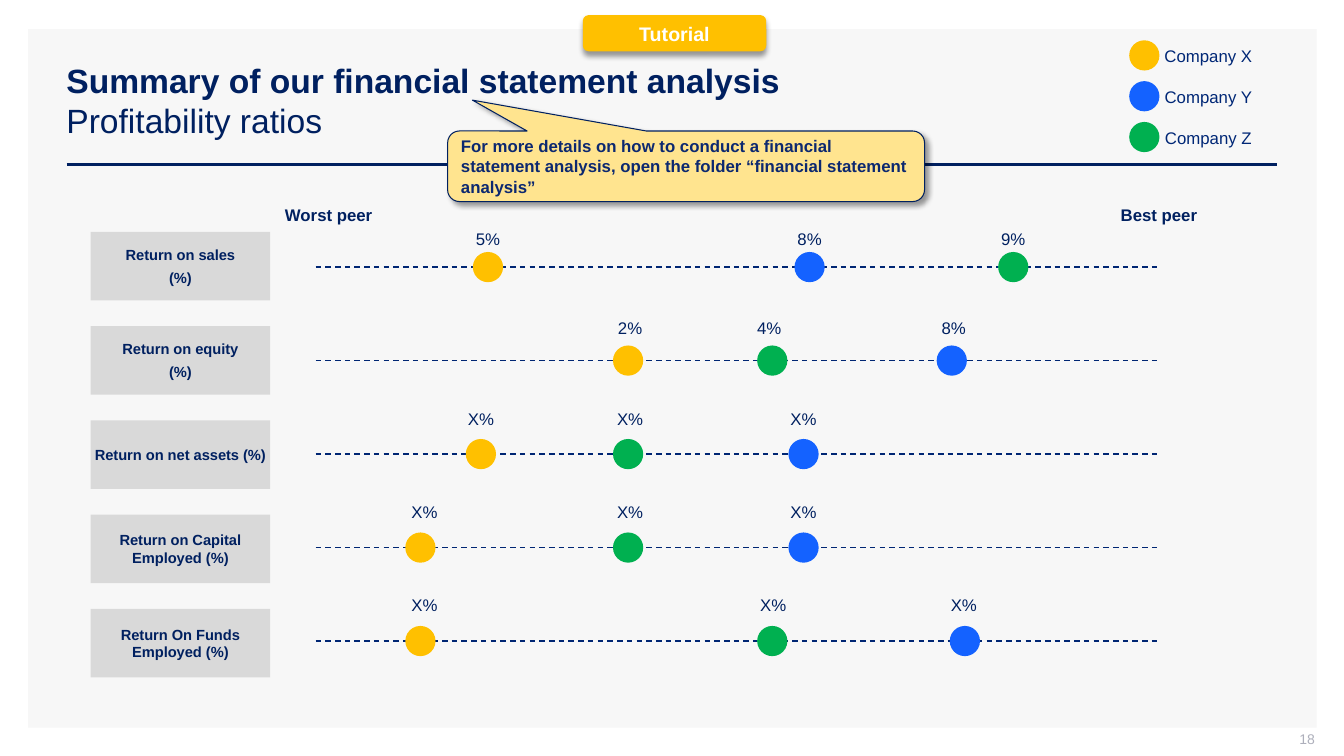
from lxml import etree
from pptx import Presentation
from pptx.dml.color import RGBColor
from pptx.enum.dml import MSO_LINE as Dash
from pptx.enum.shapes import MSO_CONNECTOR as Link, MSO_SHAPE as Shape
from pptx.enum.text import MSO_ANCHOR as Anchor, PP_ALIGN as Align
from pptx.oxml.ns import qn
from pptx.util import Inches, Pt

COLORS = {
    "panel": "F7F7F7", "navy": "002060", "dash": "002673", "legend": "002776",
    "note": "FFE48F", "note text": "0C2870", "label": "D9D9D9",
    "page": "ADAFBB", "white": "FFFFFF", "black": "000000",
    "X": "FFC000", "Y": "1462FF", "Z": "00B050",
}
TITLE = ("Summary of our financial statement analysis", "Profitability ratios")
NOTE = ("For more details on how to conduct a financial statement analysis, "
        "open the folder “financial statement analysis”")
PEERS = [("Worst peer", 2.72, 1.08), ("Best peer", 11.01, 0.97)]
LEGEND = ["X", "Y", "Z"]
# ratio lines, paragraph spacing, top of values,
# then company, value, centre of dot, centre of value
ROWS = [
    (["Return on sales", "(%)"], 2, 2.22,
     [("X", "5%", 4.84, 4.84), ("Y", "8%", 8.03, 8.03), ("Z", "9%", 10.05, 10.05)]),
    (["Return on equity", "(%)"], 2, 3.1,
     [("X", "2%", 6.23, 6.25), ("Z", "4%", 7.66, 7.63), ("Y", "8%", 9.44, 9.46)]),
    (["Return on net assets (%)"], 2, 4.01,
     [("X", "X%", 4.77, 4.77), ("Z", "X%", 6.23, 6.25), ("Y", "X%", 7.97, 7.97)]),
    (["Return on Capital Employed (%)"], 0, 4.93,
     [("X", "X%", 4.17, 4.21), ("Z", "X%", 6.23, 6.25), ("Y", "X%", 7.97, 7.97)]),
    (["Return On Funds Employed (%)"], 0, 5.85,
     [("X", "X%", 4.17, 4.21), ("Z", "X%", 7.66, 7.67), ("Y", "X%", 9.57, 9.56)]),
]
BOX_TOP, BOX_STEP = 2.3, 0.935
LINE_TOP, LINE_STEP = 2.65, 0.9275
DOT = 0.3

deck = Presentation()
deck.slide_width, deck.slide_height = Inches(13.33), Inches(7.5)
slide = deck.slides.add_slide(deck.slide_layouts[6])
shapes = slide.shapes


def rgb(name):
    return RGBColor.from_string(COLORS[name])


def add_run(para, text, size, color, bold=False):
    run = para.add_run()
    run.text = text
    font = run.font
    font.name, font.size, font.bold = "Arial", Pt(size), bold
    font.color.rgb = rgb(color)


def write(shape, lines, size, color, bold=False, align=Align.CENTER, gap=0,
          anchor=Anchor.MIDDLE, pad=(0.1, 0.05, 0.1, 0.05), wrap=True):
    """Fill a shape with one paragraph per line; pad is left, top, right, bottom."""
    frame = shape.text_frame
    frame.word_wrap, frame.vertical_anchor = wrap, anchor
    (frame.margin_left, frame.margin_top,
     frame.margin_right, frame.margin_bottom) = map(Inches, pad)
    for i, line in enumerate(lines):
        para = frame.add_paragraph() if i else frame.paragraphs[0]
        para.alignment = align
        para.space_before = para.space_after = Pt(gap)
        add_run(para, line, size, color, bold)


def add_box(kind, left, top, width, height, fill):
    box = shapes.add_shape(kind, *map(Inches, (left, top, width, height)))
    box.shadow.inherit = False
    box.fill.solid()
    box.fill.fore_color.rgb = rgb(fill)
    box.line.fill.background()
    return box


def add_text(left, top, width, height, lines, size, color, **style):
    box = shapes.add_textbox(*map(Inches, (left, top, width, height)))
    write(box, lines, size, color, **style)


def add_dot(mid, top, company):
    add_box(Shape.OVAL, mid - DOT / 2, top, DOT, DOT, company)


def add_line(left, right, y, color, width, dash=None):
    line = shapes.add_connector(Link.STRAIGHT, *map(Inches, (left, y, right, y)))
    line.line.color.rgb = rgb(color)
    line.line.width = Pt(width)
    if dash:
        line.line.dash_style = dash
    etree.SubElement(line._element.spPr, qn("a:effectLst"))


def add_shadow(shape, angle):
    effects = shape._element.spPr.find(qn("a:effectLst"))
    outer = etree.SubElement(effects, qn("a:outerShdw"), blurRad=str(Pt(4)),
                             dist=str(Pt(3)), dir=str(angle * 60000),
                             algn="ctr", rotWithShape="0")
    color = etree.SubElement(outer, qn("a:srgbClr"), val=COLORS["black"])
    etree.SubElement(color, qn("a:alpha"), val="40000")


# Frame and title
add_box(Shape.RECTANGLE, 0.28, 0.29, 12.78, 6.93, "panel")
add_line(0.66, 12.67, 1.63, "navy", 2)
title = shapes.add_textbox(*map(Inches, (0.56, 0.4, 12.11, 1.19)))
write(title, TITLE[:1], 24, "navy", bold=True, align=Align.LEFT)
head = title.text_frame.paragraphs[0]
head.add_line_break()
add_run(head, TITLE[1], 24, "navy")
add_text(10.04, 7.25, 3, 0.21, ["18"], 10, "page", align=Align.RIGHT,
         pad=(0.1, 0, 0, 0.05))

# Ratio rows
for text, left, width in PEERS:
    add_text(left, 1.98, width, 0.3, [text], 12, "navy", bold=True,
             anchor=Anchor.TOP, wrap=False)
for i, (ratio, gap, top, marks) in enumerate(ROWS):
    label = add_box(Shape.RECTANGLE, 0.9, BOX_TOP + i * BOX_STEP, 1.78, 0.68, "label")
    write(label, ratio, 10.5, "navy", bold=True, gap=gap, pad=(0.02,) * 4)
    y = LINE_TOP + i * LINE_STEP
    add_line(3.13, 11.5, y, "dash", 1, Dash.DASH)
    for company, value, dot, mid in marks:
        add_dot(dot, y - DOT / 2, company)
        add_text(mid - 0.23, top, 0.46, 0.3, [value], 12, "navy",
                 anchor=Anchor.TOP, wrap=False)

# Legend
for i, company in enumerate(LEGEND):
    top = 0.4 + i * 0.405
    add_dot(11.35, top, company)
    add_text(11.11, top + 0.005, 1.75, 0.3, [f"Company {company}"], 12, "legend",
             anchor=Anchor.TOP)

# Callout and tag
note = add_box(Shape.ROUNDED_RECTANGULAR_CALLOUT, 4.44, 1.3, 4.73, 0.7, "note")
for i, value in enumerate((-0.448, -0.938, 0.167)):
    note.adjustments[i] = value
note.line.color.rgb = rgb("navy")
note.line.width = Pt(0.75)
add_shadow(note, 45)
write(note, [NOTE], 12, "note text", bold=True, align=Align.LEFT, gap=6)

tag = add_box(Shape.ROUNDED_RECTANGLE, 5.78, 0.15, 1.82, 0.36, "X")
add_shadow(tag, 90)
write(tag, ["Tutorial"], 14, "white", bold=True)

deck.save("out.pptx")
